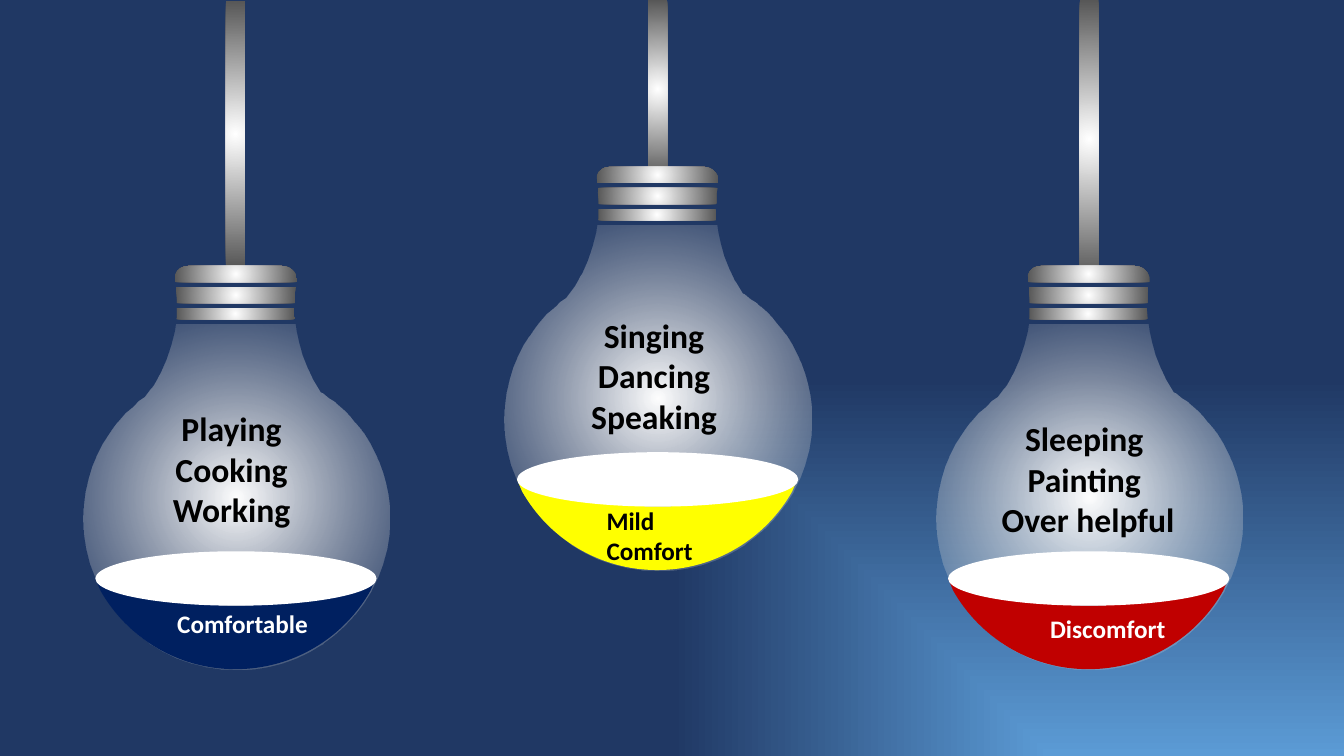
from lxml.etree import SubElement
from pptx import Presentation
from pptx.dml.color import RGBColor
from pptx.enum.shapes import MSO_SHAPE
from pptx.enum.text import MSO_AUTO_SIZE, PP_ALIGN
from pptx.oxml.ns import qn
from pptx.util import Pt

WHITE = RGBColor(0xFF, 0xFF, 0xFF)
BLACK = RGBColor(0x00, 0x00, 0x00)
SILVER = RGBColor(0xBF, 0xBF, 0xBF)
STEEL = RGBColor(0x57, 0x57, 0x57)
SKY = RGBColor(0x5B, 0x9B, 0xD5)
NIGHT = RGBColor(0x20, 0x38, 0x64)
NAVY = RGBColor(0x00, 0x20, 0x60)
YELLOW = RGBColor(0xFF, 0xFF, 0x00)
RED = RGBColor(0xC0, 0x00, 0x00)

# Outlines in points from the bulb's top left corner:
# two numbers are a straight line to a point, six are a Bezier curve
GLASS = [
    (66.2, 41.8), (151.2, 41.8), (151.9, 46.8),
    (154.1, 58.3, 157.7, 69.8, 163.4, 80.6),
    (169.2, 90), (170.6, 90.7), (175, 94.3), (178.6, 96.5),
    (184.3, 100.8, 189.4, 105.8, 193.7, 111.6),
    (200.2, 119.5),
    (211.7, 136.8, 218.9, 157.7, 218.9, 180),
    (218.9, 239.8, 169.2, 288, 109.4, 288),
    (49, 288, 0, 239.8, 0, 180),
    (0, 154.1, 9.4, 130.3, 24.5, 111.6),
    (30.2, 105.1), (35.3, 100.8), (36.7, 99.4), (39.6, 96.5),
    (43.9, 93.6), (50.4, 85),
    (57.6, 73.4, 62.6, 60.5, 65.5, 46.8),
]
LOWER_RING = [(151.2, 38.2), (66.2, 38.2), (66.9, 37.4), (66.9, 30.2), (150.5, 30.2)]
MIDDLE_RING = [(151.2, 26.6), (66.9, 26.6), (66.9, 23), (66.2, 16.6), (66.2, 15.1),
               (151.9, 15.1), (151.2, 18.7), (151.2, 22.3)]
CAP = [
    (152.6, 11.5), (65.5, 11.5), (65.5, 7.9), (65.5, 6.5),
    (67, 2.2, 70.6, 0, 74.9, 0),
    (141.8, 0),
    (147.6, 0, 152.6, 4.3, 152.6, 10.1),
]
LIQUID = [
    (8.6, 223.2), (15.1, 226.1),
    (43.2, 236.9, 74.9, 242.6, 109.4, 242.6),
    (143.3, 242.6, 175, 236.9, 203, 226.1),
    (208.8, 223.2), (205.2, 231.8),
    (186.5, 265, 150.5, 288, 108.7, 288),
    (67, 288, 31, 265, 12.2, 231.8),
]

# Bulb corner, rod box and liquid colour, then the text boxes;
# every box is (left, top, width, height)
LAMPS = [
    dict(left=59.5, top=190, rod=(161.3, 0.7, 13.7, 190), liquid=NAVY,
         activities=["Playing ", "Cooking ", "Working "],
         activities_box=(96.5, 288, 143.3, 94.3),
         label="Comfortable", label_box=(119.5, 431.3, 110.2, 28.8),
         label_color=WHITE, label_frame={"word_wrap": False}),
    dict(left=360.7, top=119.2, rod=(463, 0, 13.7, 127.4), liquid=YELLOW,
         activities=["Singing ", "Dancing ", "Speaking "],
         activities_box=(412.6, 221.5, 114.5, 94.3),
         label="Mild Comfort", label_box=(426.2, 357.5, 113, 28.8),
         label_color=BLACK,
         label_frame={"word_wrap": True, "margin_right": Pt(30)}),
    dict(left=668.6, top=190, rod=(771.1, 0, 13.7, 198.7), liquid=RED,
         activities=["Sleeping ", "Painting ", "Over helpful "],
         activities_box=(706.3, 295.2, 141.8, 94.3),
         label="Discomfort", label_box=(743, 434.2, 99.4, 28.8),
         label_color=WHITE, label_frame={"word_wrap": False}),
]


def set_attributes(target, values):
    for name, value in values.items():
        setattr(target, name, value)


class LampSlide:
    font = {"name": "Calibri", "bold": True}

    def __init__(self, presentation):
        self.slide = presentation.slides.add_slide(presentation.slide_layouts[6])
        self.shapes = self.slide.shapes

    def gradient(self, fill, element, inner, outer, kind="circle",
                 focus=(50, 50, 50, 50), outer_alpha=None):
        fill.gradient()
        for stop, color in zip(fill.gradient_stops, (inner, outer)):
            stop.color.rgb = color
        gradient = element.find(".//" + qn("a:gradFill"))
        gradient.remove(gradient.find(qn("a:lin")))
        shade = SubElement(gradient, qn("a:path"), {"path": kind})
        SubElement(shade, qn("a:fillToRect"),
                   {side: str(percent * 1000) for side, percent in zip("ltrb", focus)})
        if outer_alpha is not None:
            color = gradient.findall(".//" + qn("a:srgbClr"))[-1]
            SubElement(color, qn("a:alpha"), {"val": str(outer_alpha)})

    def background(self):
        self.gradient(self.slide.background.fill, self.slide.element, SKY, NIGHT,
                      "rect", (100, 100, 0, 0))

    def finish(self, shape, color, outer=None, outer_alpha=None):
        shape.shadow.inherit = False
        shape.line.fill.background()
        if outer is not None:
            self.gradient(shape.fill, shape.element, color, outer,
                          outer_alpha=outer_alpha)
        else:
            shape.fill.solid()
            shape.fill.fore_color.rgb = color

    def preset(self, kind, box, *colors):
        shape = self.shapes.add_shape(kind, *map(Pt, box))
        self.finish(shape, *colors)

    def outline(self, left, top, outline, *colors):
        ends = [(Pt(left + step[-2]), Pt(top + step[-1])) for step in outline]
        builder = self.shapes.build_freeform(*ends[0])
        builder.add_line_segments(ends[1:], close=True)
        shape = builder.convert_to_shape()
        # Bend the segments that have control points
        segments = shape.element.findall(".//" + qn("a:lnTo"))
        for segment, step in zip(segments, outline[1:]):
            if len(step) == 6:
                segment.tag = qn("a:cubicBezTo")
                for index, (x, y) in enumerate((step[0:2], step[2:4])):
                    control = segment.makeelement(qn("a:pt"), {
                        "x": str(Pt(left + x) - shape.left),
                        "y": str(Pt(top + y) - shape.top)})
                    segment.insert(index, control)
        self.finish(shape, *colors)

    def text(self, box, lines, size, color, frame_values, alignment):
        frame = self.shapes.add_textbox(*map(Pt, box)).text_frame
        set_attributes(frame, {"auto_size": MSO_AUTO_SIZE.SHAPE_TO_FIT_TEXT,
                               **frame_values})
        frame.text = "\n".join(lines)
        for paragraph in frame.paragraphs:
            paragraph.alignment = alignment
            for run in paragraph.runs:
                set_attributes(run.font, {**self.font, "size": Pt(size)})
                run.font.color.rgb = color

    def bulb(self, left, top, liquid):
        # Glass and screw cap
        self.outline(left, top, GLASS, WHITE, SILVER, 0)
        for metal in (LOWER_RING, MIDDLE_RING, CAP):
            self.outline(left, top, metal, WHITE, STEEL)
        # Liquid and its surface
        self.outline(left, top, LIQUID, liquid)
        self.preset(MSO_SHAPE.OVAL, (left + 8.6, top + 203.8, 200.9, 38.9), WHITE)


def main():
    presentation = Presentation()
    set_attributes(presentation, {"slide_width": Pt(960), "slide_height": Pt(540)})
    lamp_slide = LampSlide(presentation)
    lamp_slide.background()
    # Rods behind the bulbs
    for lamp in reversed(LAMPS):
        lamp_slide.preset(MSO_SHAPE.RECTANGLE, lamp["rod"], WHITE, STEEL)
    for lamp in LAMPS:
        lamp_slide.bulb(lamp["left"], lamp["top"], lamp["liquid"])
    # Activities, then comfort levels
    for lamp in LAMPS:
        lamp_slide.text(lamp["activities_box"], lamp["activities"], 24, BLACK,
                        {"word_wrap": True}, PP_ALIGN.CENTER)
    for lamp in LAMPS:
        lamp_slide.text(lamp["label_box"], [lamp["label"]], 18, lamp["label_color"],
                        lamp["label_frame"], PP_ALIGN.LEFT)
    presentation.save("out.pptx")


if __name__ == "__main__":
    main()
